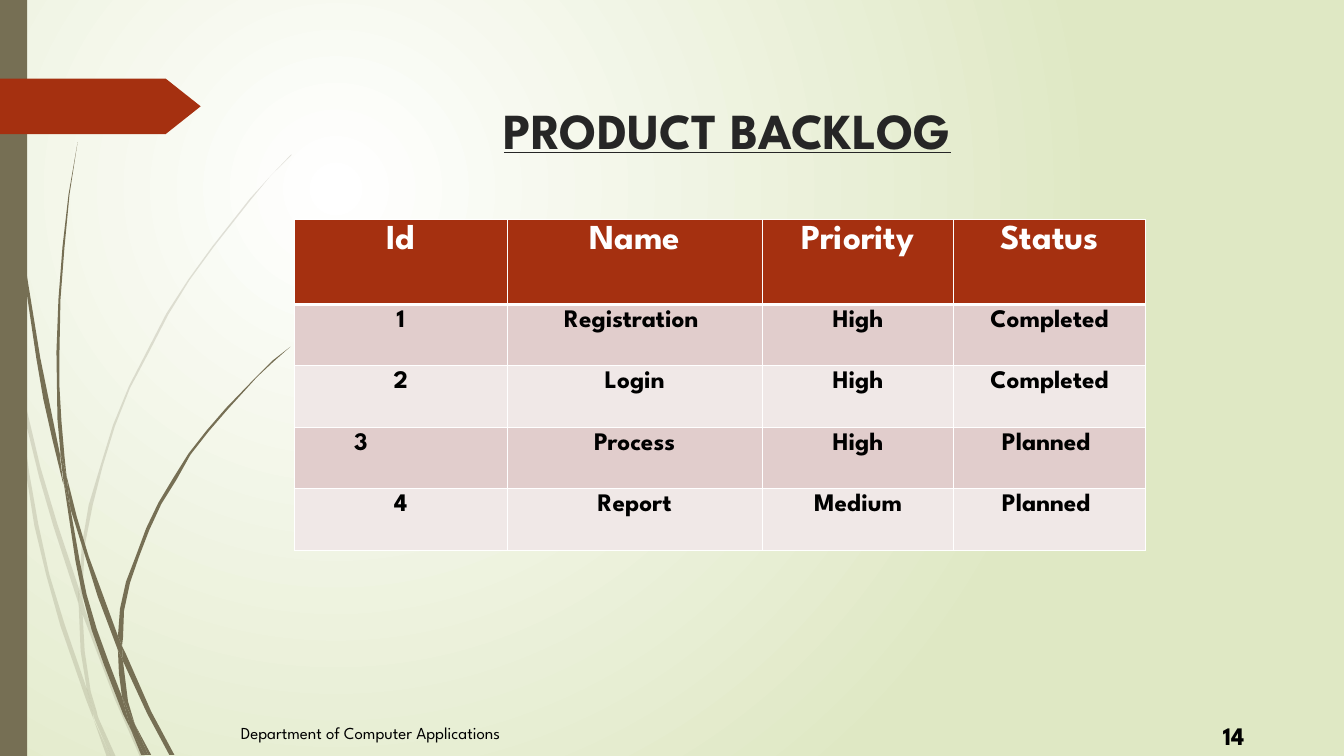
from dataclasses import dataclass

from lxml import etree
from pptx import Presentation
from pptx.dml.color import RGBColor
from pptx.enum import shapes, text
from pptx.oxml import ns
from pptx.util import Inches, Pt


@dataclass(frozen=True)
class Theme:
    font: str = "League Spartan"
    white: str = "FFFFFF"
    green: str = "DFE8C4"
    olive: str = "766F54"
    rust: str = "A53010"
    ink: str = "262626"
    black: str = "000000"
    bands: tuple = ("E1CDCC", "F0E8E7")
    title_size: int = 36
    head_size: int = 25
    body_size: int = 18
    footer_size: int = 12


THEME = Theme()

# Grass outlines: x and y of each corner in inches
PALE_GRASS = [
    "0.1 3.5 0.08 3.22 0 2.82 0 2.99 0.09 3.44",
    "0.53 5.22 0.78 5.99 0.79 5.86 0.57 5.2 0.4 4.63 0.26 4.04 0.13 3.45 0.16 3.76 0.27 4.25 0.39 4.74",
    "0.85 6.07 0.82 5.96 0.82 6.1 1.14 6.94 1.39 7.51 1.44 7.51 1.18 6.92",
    "1.1 7.51 1.15 7.51 0.97 7.11",
    "0.86 6.83 0.64 6.19 0.49 5.7 0.38 5.2 0.29 4.69 0.16 3.76 0.1 3.5 0.26 4.7 "
    "0.34 5.21 0.46 5.71 0.6 6.21 0.85 6.93 0.93 7.14 0.92 7.07",
    "0.78 5.99 0.8 6.46 0.86 6.83 0.89 6.92 0.97 7.11 0.96 7.06 0.9 6.86 0.84 6.46 0.82 6.1 0.81 6.08",
    "0.82 5.84 0.84 5.42 0.92 5.01 1.02 4.62 1.14 4.23 1.29 3.85 1.48 3.49 1.67 3.12 1.88 2.78 2.12 2.45 "
    "2.49 1.98 2.68 1.75 2.89 1.54 2.89 1.53 2.68 1.75 2.48 1.97 2.11 2.44 1.87 2.77 1.65 3.11 "
    "1.46 3.48 1.28 3.83 1.12 4.22 1 4.61 0.88 5.01 0.81 5.42 0.79 5.84 0.79 5.86 0.82 5.96",
    "0.93 7.14 1.06 7.51 1.1 7.51",
    "0.81 6.08 0.82 6.1 0.82 5.96 0.78 5.86 0.78 5.99",
    "0.89 6.92 0.86 6.83 0.92 7.07 0.94 7.14 1.1 7.51 0.97 7.11",
]
DARK_GRASS = [
    "0.07 1.1 0.12 1.72 0.18 2.33 0.36 3.55 0.43 3.96 0.52 4.36 0.62 4.77 0.63 4.81 0.6 4.57 0.6 4.53 "
    "0.4 3.55 0.2 2.32 0.14 1.72 0.08 1.09 0.05 0.48 0.04 0 0.03 0 0.04 0.48",
    "0.97 5.92 1.17 6.45 1.17 6.31 1.02 5.9 0.88 5.52 0.76 5.12 0.66 4.72 0.7 5.05",
    "1.25 6.49 1.21 6.41 1.22 6.56 1.46 7.08 1.68 7.49 1.73 7.49 1.5 7.06",
    "1.21 6.91 1.08 6.57 0.96 6.24 0.86 5.9 0.79 5.56 0.7 5.05 0.63 4.77 0.75 5.57 "
    "0.82 5.91 0.91 6.25 1.03 6.59 1.22 7.08 1.29 7.22 1.28 7.17",
    "0.66 4.72 0.64 4.53 0.61 4.18 0.59 3.84 0.59 3.49 0.6 2.97 0.64 2.45 0.69 1.93 0.77 1.41 "
    "0.68 1.93 0.62 2.45 0.58 2.97 0.56 3.49 0.57 4.16 0.6 4.49",
    "1.47 7.49 1.5 7.49 1.34 7.19",
    "0.63 4.77 0.7 5.05 0.66 4.72 0.6 4.49 0.6 4.53",
    "1.22 6.33 1.23 6.06 1.29 5.78 1.38 5.52 1.48 5.26 1.6 5 1.75 4.76 1.89 4.51 2.07 4.28 2.26 4.06 "
    "2.55 3.74 2.71 3.59 2.88 3.44 2.7 3.58 2.55 3.73 2.24 4.05 2.05 4.27 1.87 4.5 1.72 4.74 "
    "1.57 4.99 1.45 5.24 1.35 5.51 1.25 5.77 1.19 6.04 1.17 6.31 1.21 6.41",
    "1.29 7.22 1.4 7.49 1.44 7.49",
    "1.17 6.45 1.18 6.68 1.21 6.91 1.28 7.06 1.34 7.19 1.33 7.16 1.27 6.96 1.22 6.56 1.2 6.51",
    "1.17 6.45 1.2 6.51 1.22 6.56 1.21 6.41 1.17 6.31",
    "1.28 7.06 1.21 6.91 1.28 7.17 1.29 7.22 1.44 7.49 1.47 7.49 1.34 7.19",
]


def write(frame, words, size, color=THEME.black, bold=False, underline=False, align=text.PP_ALIGN.LEFT):
    paragraph = frame.paragraphs[0]
    paragraph.alignment = align
    run = paragraph.add_run()
    run.text = words
    run.font.name, run.font.size = THEME.font, Pt(size)
    run.font.bold, run.font.underline = bold, underline
    run.font.color.rgb = RGBColor.from_string(color)


def draw_blade(blades, outline):
    numbers = [Inches(float(n)) for n in outline.split()]
    start, *corners = zip(numbers[::2], numbers[1::2])
    builder = blades.build_freeform(*start)
    builder.add_line_segments(corners, close=True)
    return builder.convert_to_shape()


deck = Presentation()
deck.slide_width, deck.slide_height = Inches(13.33), Inches(7.5)
slide = deck.slides.add_slide(deck.slide_layouts[5])

# Background: white glow fading to green
glow = slide.background.fill
glow.gradient()
for stop, position, color in zip(glow.gradient_stops, (0, 1), (THEME.white, THEME.green)):
    stop.position, stop.color.rgb = position, RGBColor.from_string(color)
linear = next(slide.element.iter(ns.qn("a:lin")))
radial = etree.Element(ns.qn("a:path"), path="circle")
etree.SubElement(radial, ns.qn("a:fillToRect"), l="50000", t="50000", r="100000", b="100000")
linear.getparent().replace(linear, radial)

# Grass, side bar and arrow
decor = []
for outlines, opacity in ((PALE_GRASS, 20), (DARK_GRASS, 100)):
    blades = slide.shapes.add_group_shape().shapes
    decor += [(draw_blade(blades, outline), THEME.olive, opacity) for outline in outlines]
side_bar = slide.shapes.add_shape(shapes.MSO_SHAPE.RECTANGLE, 0, 0, Inches(0.27), Inches(7.5))
arrow = slide.shapes.add_shape(shapes.MSO_SHAPE.PENTAGON, 0, Inches(0.78), Inches(1.99), Inches(0.55))
arrow.adjustments[0] = 0.63
decor += [(side_bar, THEME.olive, 100), (arrow, THEME.rust, 100)]
for part, color, opacity in decor:
    part.shadow.inherit = False
    part.line.fill.background()
    part.fill.solid()
    part.fill.fore_color.rgb = RGBColor.from_string(color)
    if opacity < 100:
        tint = part.element.spPr.find(ns.qn("a:solidFill"))[0]
        etree.SubElement(tint, ns.qn("a:alpha"), val=str(opacity * 1000))

# Title
title = slide.shapes.title
title.left, title.top, title.width, title.height = map(Inches, (2.84, 0.78, 8.75, 1.3))
title.text_frame.auto_size = text.MSO_AUTO_SIZE.NONE
title.text_frame.vertical_anchor = text.MSO_ANCHOR.TOP
title.text_frame.margin_top = Inches(0.2)
write(title.text_frame, "PRODUCT BACKLOG", THEME.title_size, THEME.ink, True, True, text.PP_ALIGN.CENTER)

# Backlog table
BACKLOG = [
    ("Id", "Name", "Priority", "Status"),
    ("1", "Registration ", "High", "Completed"),
    ("2", "Login", "High", "Completed"),
    ("3", "Process", "High", "Planned "),
    ("4", "Report", "Medium", "Planned "),
]
backlog = slide.shapes.add_table(5, 4, Inches(2.92), Inches(2.18), Inches(8.44), Inches(3.28)).table
for column, width in zip(backlog.columns, (2.11, 2.53, 1.9, 1.9)):
    column.width = Inches(width)
for r, entries in enumerate(BACKLOG):
    backlog.rows[r].height = Inches(0.61 if r else 0.84)
    for c, entry in enumerate(entries):
        cell = backlog.cell(r, c)
        cell.fill.solid()
        cell.fill.fore_color.rgb = RGBColor.from_string(THEME.bands[(r - 1) % 2] if r else THEME.rust)
        write(cell.text_frame, entry, THEME.body_size if r else THEME.head_size,
              THEME.black if r else THEME.white, bold=True, align=text.PP_ALIGN.CENTER)
        for i, side in enumerate("LRTB"):
            thick = (r, side) in ((0, "B"), (1, "T"))
            border = etree.Element(ns.qn(f"a:ln{side}"), w=str(Pt(3 if thick else 1)))
            paint = etree.SubElement(border, ns.qn("a:solidFill"))
            etree.SubElement(paint, ns.qn("a:srgbClr"), val=THEME.white)
            cell._tc.get_or_add_tcPr().insert(i, border)
backlog.cell(3, 0).margin_right = Inches(0.89)

# Footer and page number
for words, box, size, bold, wrap in (
    ("Department of Computer Applications", (2.29, 7.12, 5.23, 0.3), THEME.footer_size, False, True),
    ("14", (12.03, 7.1, 0.49, 0.4), THEME.body_size, True, False),
):
    frame = slide.shapes.add_textbox(*map(Inches, box)).text_frame
    frame.word_wrap = wrap
    write(frame, words, size, bold=bold)

deck.save("out.pptx")
